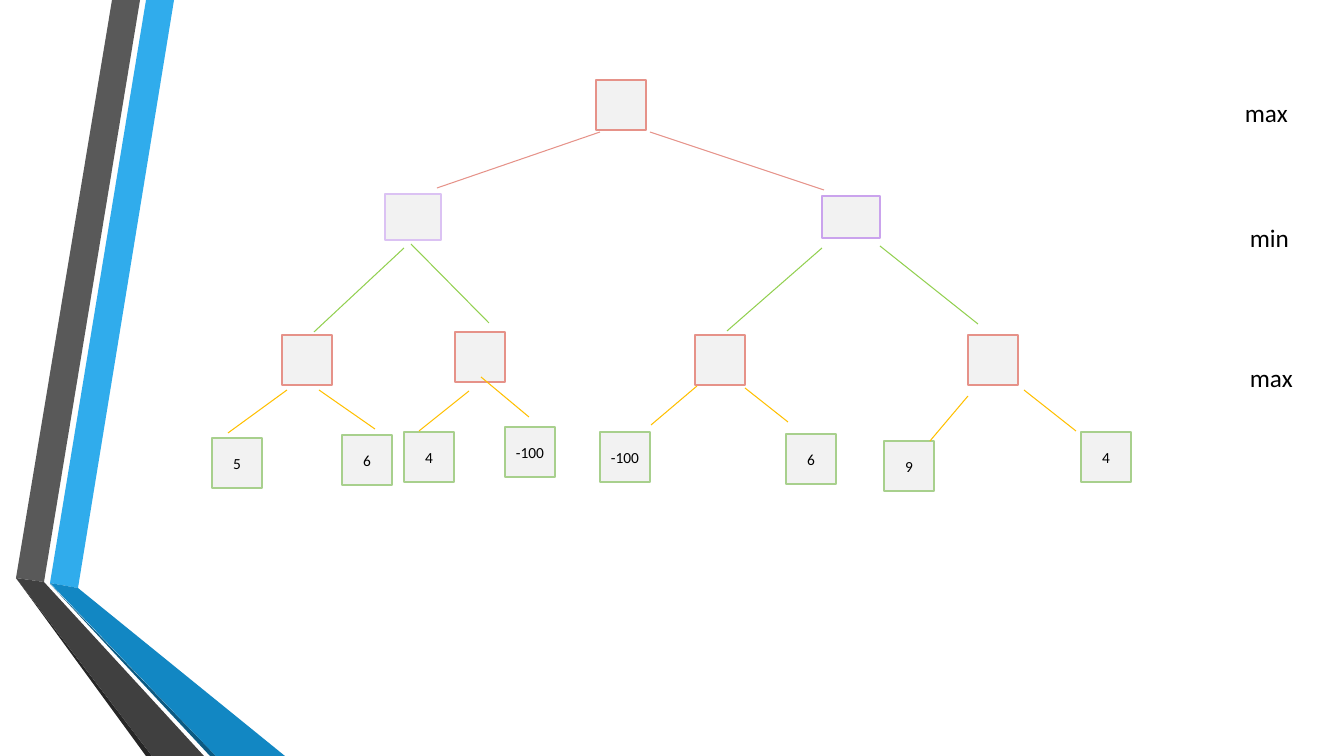
from lxml import etree
from pptx import Presentation
from pptx import util as u
from pptx.dml.color import RGBColor
from pptx.enum import shapes, text
from pptx.oxml.ns import qn

SCALE = 914400 / 100.8
NODE = 50
COLORS = {
    "black": "000000", "node": "F2F2F2",
    "max": "E69289", "min_left": "DBC2F3", "min_right": "CAA3ED", "leaf": "A8D08D",
    "green": "92D050", "gold": "FFC000",
    "sky": "30ACEC", "blue": "1287C3", "navy": "0C5A82",
    "grey": "595959", "charcoal": "404040", "ink": "262626",
}

RIBBONS = [
    ("sky", [(50, 583), (78, 588), (174, 0), (146, 0)]),
    ("grey", [(140, 0), (112, 0), (16, 578), (44, 582)]),
    ("ink", [(16, 578), (146, 756), (152, 756)]),
    ("navy", [(50, 584), (210, 756), (216, 756)]),
    ("blue", [(50, 583), (216, 756), (285, 756), (78, 588)]),
    ("charcoal", [(204, 756), (44, 582), (16, 578), (152, 756)]),
]
MAX_NODES = [(596, 80), (282, 335), (695, 335), (455, 332), (968, 335)]
MIN_NODES = [("min_left", 385, 194, 56, 46), ("min_right", 822, 196, 58, 42)]
LEAVES = [
    ("5", 212, 438), ("6", 342, 435), ("4", 404, 432), ("-100", 505, 427),
    ("-100", 600, 432), ("6", 786, 434), ("9", 884, 441), ("4", 1081, 432),
]
BRANCHES = {
    "max": [(437, 188, 600, 132), (650, 132, 824, 190)],
    "green": [(314, 332, 404, 248), (411, 244, 489, 323),
              (727, 331, 822, 248), (880, 246, 978, 324)],
    "gold": [(228, 433, 287, 390), (319, 390, 375, 429),
             (419, 431, 469, 391), (481, 377, 529, 417),
             (651, 425, 697, 386), (745, 388, 788, 422),
             (930, 441, 968, 396), (1024, 390, 1076, 431)],
}
LEVELS = [("max", 1235, 92, 65), ("min", 1240, 217, 60), ("max", 1240, 357, 65)]


def px(*lengths):
    return [u.Emu(round(length * SCALE)) for length in lengths]


def color(name):
    return RGBColor.from_string(COLORS[name])


def paint(shape, fill):
    shape.shadow.inherit = False
    shape.fill.solid()
    shape.fill.fore_color.rgb = color(fill)


def write(frame, words, size):
    paragraph = frame.paragraphs[0]
    paragraph.text = words
    paragraph.font.name = "Calibri"
    paragraph.font.size = u.Pt(size)
    paragraph.font.color.rgb = color("black")
    return paragraph


def add_ribbon(slide, fill, corners):
    outline = slide.shapes.build_freeform(*corners[0], scale=SCALE)
    outline.add_line_segments(corners[1:], close=True)
    ribbon = outline.convert_to_shape()
    paint(ribbon, fill)
    ribbon.line.fill.background()


def add_node(slide, border, left, top, width=NODE, height=NODE, weight=1.25):
    node = slide.shapes.add_shape(
        shapes.MSO_SHAPE.RECTANGLE, *px(left, top, width, height))
    paint(node, "node")
    node.line.color.rgb = color(border)
    node.line.width = u.Pt(weight)
    return node


def add_leaf(slide, score, left, top):
    frame = add_node(slide, "leaf", left, top, weight=1).text_frame
    frame.margin_left = frame.margin_right = 0
    frame.vertical_anchor = text.MSO_ANCHOR.MIDDLE
    write(frame, score, 11).alignment = text.PP_ALIGN.CENTER


def add_branch(slide, tint, ends):
    branch = slide.shapes.add_connector(shapes.MSO_CONNECTOR.STRAIGHT, *px(*ends))
    branch.line.color.rgb = color(tint)
    branch.line.width = u.Pt(0.75)
    etree.SubElement(branch._element.spPr, qn("a:effectLst"))


def add_level(slide, player, left, top, width):
    frame = slide.shapes.add_textbox(*px(left, top, width, 40)).text_frame
    frame.word_wrap = False
    frame.auto_size = text.MSO_AUTO_SIZE.SHAPE_TO_FIT_TEXT
    write(frame, player, 18)


def main():
    deck = Presentation()
    deck.slide_width, deck.slide_height = px(1344, 756)
    slide = deck.slides.add_slide(deck.slide_layouts[6])
    for fill, corners in RIBBONS:
        add_ribbon(slide, fill, corners)
    for left, top in MAX_NODES:
        add_node(slide, "max", left, top)
    for min_node in MIN_NODES:
        add_node(slide, *min_node)
    for leaf in LEAVES:
        add_leaf(slide, *leaf)
    for tint, branches in BRANCHES.items():
        for ends in branches:
            add_branch(slide, tint, ends)
    for level in LEVELS:
        add_level(slide, *level)
    deck.save("out.pptx")


main()
